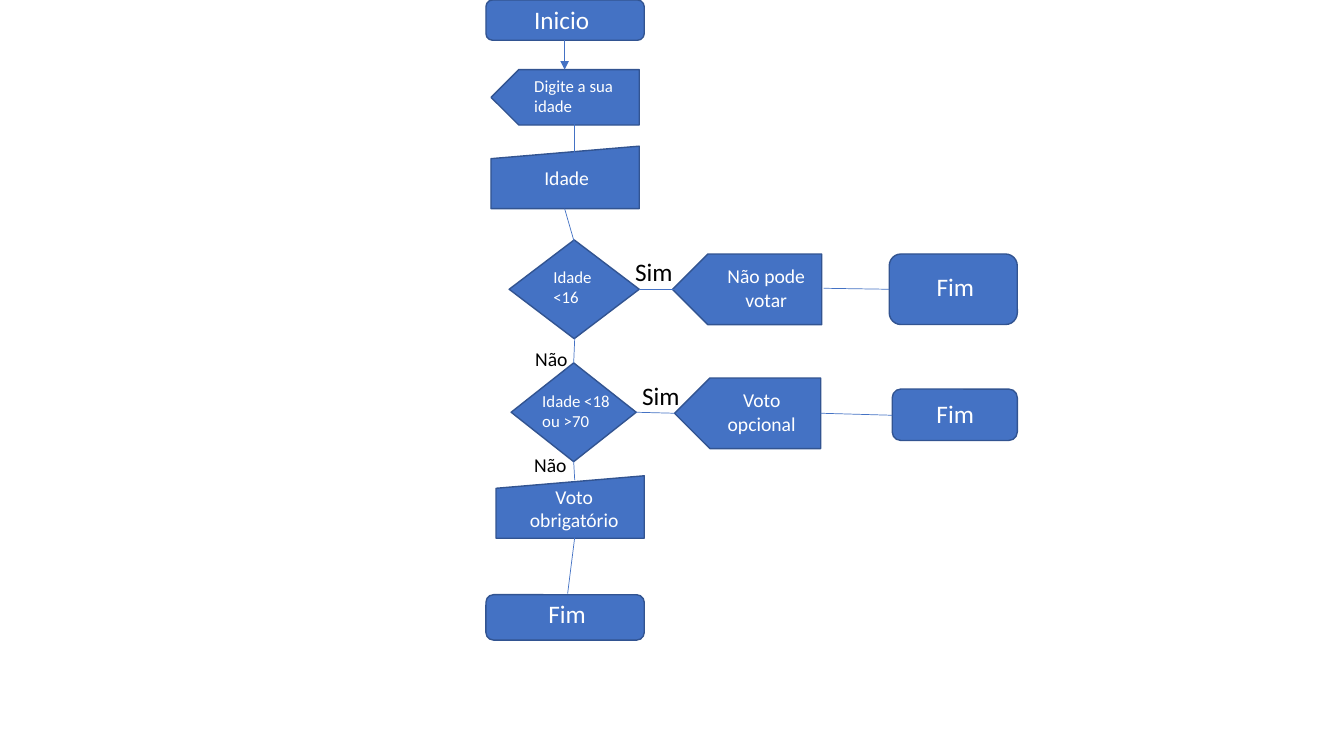
import dataclasses

import lxml.etree
import pptx
import pptx.dml.color
import pptx.enum.shapes
import pptx.enum.text
import pptx.oxml
import pptx.oxml.ns
import pptx.util

Inches = pptx.util.Inches
Kind = pptx.enum.shapes.MSO_SHAPE
Align = pptx.enum.text.PP_ALIGN

BLUE = pptx.dml.color.RGBColor(0x44, 0x72, 0xC4)
OUTLINE = pptx.dml.color.RGBColor(0x32, 0x54, 0x91)
WHITE = pptx.dml.color.RGBColor(0xFF, 0xFF, 0xFF)
BLACK = pptx.dml.color.RGBColor(0, 0, 0)
FONT = "Calibri"


@dataclasses.dataclass
class Step:
    kind: Kind
    left: float
    top: float
    width: float
    height: float


@dataclasses.dataclass
class Label:
    text: str
    left: float
    top: float
    width: float
    height: float
    size: int
    align: Align = Align.LEFT
    color: pptx.dml.color.RGBColor = WHITE


@dataclasses.dataclass
class Link:
    start: tuple[float, float]
    end: tuple[float, float]
    arrow: bool = False


STEPS = [
    # Main column
    Step(Kind.ROUNDED_RECTANGLE, 4.82, 0, 1.57, 0.4),
    Step(Kind.PENTAGON, 4.87, 0.69, 1.47, 0.55),
    Step(Kind.FLOWCHART_MANUAL_INPUT, 4.87, 1.45, 1.47, 0.62),
    Step(Kind.FLOWCHART_DECISION, 5.05, 2.38, 1.29, 0.98),
    Step(Kind.FLOWCHART_DECISION, 5.07, 3.6, 1.24, 0.98),
    Step(Kind.FLOWCHART_MANUAL_INPUT, 4.92, 4.72, 1.47, 0.62),
    Step(Kind.ROUNDED_RECTANGLE, 4.82, 5.9, 1.57, 0.45),
    # Side branches
    Step(Kind.PENTAGON, 6.67, 2.52, 1.48, 0.7),
    Step(Kind.PENTAGON, 6.69, 3.75, 1.45, 0.7),
    Step(Kind.ROUNDED_RECTANGLE, 8.82, 2.52, 1.27, 0.7),
    Step(Kind.ROUNDED_RECTANGLE, 8.85, 3.86, 1.24, 0.51),
]

LABELS = [
    # Step captions
    Label("Inicio", 5.2, -0.01, 1.14, 0.4, 18),
    Label("Digite a sua idade", 5.2, 0.7, 1.01, 0.5, 12),
    Label("Idade", 5.3, 1.6, 1.15, 0.34, 14),
    Label("Idade <16", 5.39, 2.6, 0.67, 0.5, 12),
    Label("Não pode votar", 7.04, 2.57, 1.12, 0.57, 14, Align.CENTER),
    Label("Idade <18 ou >70", 5.28, 3.83, 0.97, 0.5, 12),
    Label("Voto opcional", 7.01, 3.8, 1.09, 0.57, 14, Align.CENTER),
    Label("Fim", 9.19, 2.64, 1.12, 0.4, 18),
    Label("Fim", 9.19, 3.9, 1.16, 0.4, 18),
    Label("Voto obrigatório", 5.1, 4.76, 1.19, 0.57, 14, Align.CENTER),
    Label("Fim", 4.94, 5.89, 1.37, 0.4, 18, Align.CENTER),
    # Decision answers
    Label("Sim", 6.2, 2.49, 1.65, 0.4, 18, color=BLACK),
    Label("Sim", 6.27, 3.72, 1.15, 0.4, 18, color=BLACK),
    Label("Não", 5.21, 3.39, 1.34, 0.34, 14, color=BLACK),
    Label("Não", 5.2, 4.44, 1.47, 0.34, 14, color=BLACK),
]

LINKS = [
    # Down the main column
    Link((5.6, 0.4), (5.6, 0.69), arrow=True),
    Link((5.7, 1.21), (5.7, 1.6)),
    Link((5.6, 2.07), (5.73, 2.52)),
    Link((5.7, 3.36), (5.69, 3.6)),
    Link((5.69, 4.58), (5.7, 4.76)),
    Link((5.7, 5.33), (5.63, 5.89)),
    # Across the branches
    Link((6.34, 2.87), (6.87, 2.87)),
    Link((8.17, 2.86), (8.82, 2.87)),
    Link((6.31, 4.09), (6.69, 4.1)),
    Link((8.14, 4.1), (8.85, 4.12)),
]


def draw_step(slide, step: Step) -> None:
    shape = slide.shapes.add_shape(
        step.kind, Inches(step.left), Inches(step.top), Inches(step.width), Inches(step.height)
    )
    shape.shadow.inherit = False
    shape.fill.solid()
    shape.fill.fore_color.rgb = BLUE
    shape.line.color.rgb = OUTLINE
    shape.line.width = pptx.util.Pt(1)
    if step.kind == Kind.PENTAGON:
        shape.rotation = 180


def write_text(frame, text: str, *, size: int, color, align: Align) -> None:
    frame.word_wrap = True
    paragraph = frame.paragraphs[0]
    paragraph.alignment = align
    run = paragraph.add_run()
    run.text = text
    run.font.name = FONT
    run.font.size = pptx.util.Pt(size)
    run.font.color.rgb = color


def draw_label(slide, label: Label) -> None:
    box = slide.shapes.add_textbox(
        Inches(label.left), Inches(label.top), Inches(label.width), Inches(label.height)
    )
    box.text_frame.auto_size = pptx.enum.text.MSO_AUTO_SIZE.SHAPE_TO_FIT_TEXT
    write_text(box.text_frame, label.text, size=label.size, color=label.color, align=label.align)


def draw_link(slide, link: Link) -> None:
    connector = slide.shapes.add_connector(
        pptx.enum.shapes.MSO_CONNECTOR.STRAIGHT,
        *(Inches(value) for value in link.start + link.end),
    )
    connector.line.color.rgb = BLUE
    connector.line.width = pptx.util.Pt(0.5)
    if link.arrow:
        line = connector.line._get_or_add_ln()
        lxml.etree.SubElement(line, pptx.oxml.ns.qn("a:tailEnd"), type="triangle")
    lxml.etree.SubElement(connector._element.spPr, pptx.oxml.ns.qn("a:effectLst"))


presentation = pptx.Presentation()
presentation.slide_width = Inches(13.33)
presentation.slide_height = Inches(7.5)
slide = presentation.slides.add_slide(presentation.slide_layouts[6])

for step in STEPS:
    draw_step(slide, step)
for link in LINKS:
    draw_link(slide, link)
for label in LABELS:
    draw_label(slide, label)

presentation.save("out.pptx")
